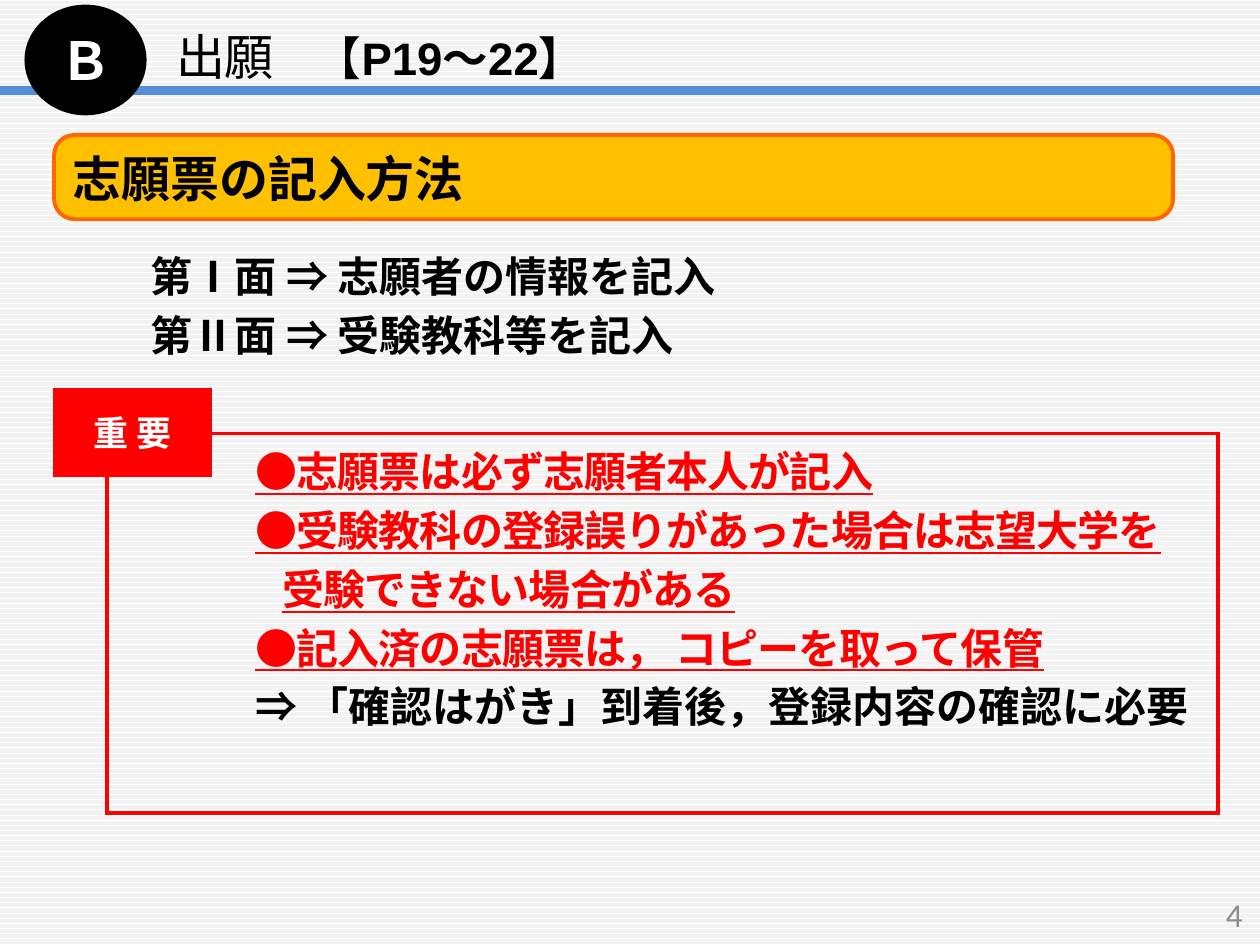
import pptx
import pptx.util
import pptx.dml.color
import pptx.enum.dml
import pptx.enum.shapes
import pptx.enum.text
import pptx.oxml
import pptx.oxml.ns
from pptx.util import Cm, Pt

COLORS = {"black": "000000", "white": "FFFFFF", "red": "FF0000", "amber": "FFC000",
          "orange": "FF6600", "blue": "558ED5", "stripe": "F2F2F2", "gray": "8C8C8C"}
CJK = "Noto Sans CJK JP"
DRAWING = 'xmlns:a="http://schemas.openxmlformats.org/drawingml/2006/main"'
SHAPES = pptx.enum.shapes.MSO_SHAPE
ALIGN = pptx.enum.text.PP_ALIGN
ANCHOR = pptx.enum.text.MSO_ANCHOR

SECTION = "Ｂ"
TITLE_RUNS = [("出願", {"size": 28, "font": CJK}),
              ("　", {"size": 24, "font": CJK, "bold": True}),
              ("【P19～22】", {"size": 26, "bold": True})]
HEADING = "志願票の記入方法"
SIDES = ["第Ⅰ面 ⇒ 志願者の情報を記入", "第Ⅱ面 ⇒ 受験教科等を記入"]
LABEL = "重 要"
WARNING = {"color": "red", "underline": True, "spacing": -0.5}
NOTES = [("●志願票は必ず志願者本人が記入", WARNING),
         ("●受験教科の登録誤りがあった場合は志望大学を", WARNING),
         ("受験できない場合がある", {**WARNING, "indent": 0.54}),
         ("●記入済の志願票は， コピーを取って保管", WARNING),
         ("⇒ 「確認はがき」到着後，登録内容の確認に必要", {})]
PAGE_NUMBER = "4"


def rgb(name):
    return pptx.dml.color.RGBColor.from_string(COLORS[name])


def add_run(paragraph, text, size=24, font="Arial", color="black", bold=False,
            underline=False, spacing=0):
    run = paragraph.add_run()
    run.text = text
    run.font.size = Pt(size)
    run.font.name = font
    run.font.bold = bold
    run.font.color.rgb = rgb(color)
    if underline:
        run.font.underline = True
    if spacing:
        run.font._element.set("spc", str(round(spacing * 100)))


def write(shape, text, align=ALIGN.LEFT, anchor=ANCHOR.TOP, wrap=True, indent=0,
          gap=0, **run_format):
    """Add a paragraph; text is a string or a list of (text, format) runs."""
    frame = shape.text_frame
    frame.word_wrap = wrap
    frame.vertical_anchor = anchor
    first = not frame.paragraphs[0].runs
    paragraph = frame.paragraphs[0] if first else frame.add_paragraph()
    paragraph.alignment = align
    if indent:
        paragraph._p.get_or_add_pPr().set("marL", str(Cm(indent)))
    if not first:
        paragraph.space_before = Pt(gap)
    runs = [(text, {})] if isinstance(text, str) else text
    for run_text, own_format in runs:
        add_run(paragraph, run_text, **{**run_format, **own_format})


def add_box(slide, kind, box, line, width, fill=None):
    """Add a preset shape with square line joins."""
    shape = slide.shapes.add_shape(kind, *map(Cm, box))
    shape.shadow.inherit = False
    if fill:
        shape.fill.solid()
        shape.fill.fore_color.rgb = rgb(fill)
    else:
        shape.fill.background()
    shape.line.color.rgb = rgb(line)
    shape.line.width = Pt(width)
    outline = shape._element.spPr.find(pptx.oxml.ns.qn("a:ln"))
    outline.append(pptx.oxml.parse_xml(f'<a:miter {DRAWING} lim="800000"/>'))
    return shape


def add_text_box(slide, box):
    return slide.shapes.add_textbox(*map(Cm, box))


def add_rule(slide, y, color, width):
    rule = slide.shapes.add_connector(pptx.enum.shapes.MSO_CONNECTOR.STRAIGHT,
                                      0, Cm(y), Cm(25.4), Cm(y))
    rule.line.color.rgb = rgb(color)
    rule.line.width = Pt(width)
    rule._element.spPr.append(pptx.oxml.parse_xml(f'<a:effectLst {DRAWING}/>'))


def main():
    presentation = pptx.Presentation()
    presentation.slide_width, presentation.slide_height = Cm(25.4), Cm(19.05)
    slide = presentation.slides.add_slide(presentation.slide_layouts[6])

    background = slide.background.fill
    background.patterned()
    background.pattern = pptx.enum.dml.MSO_PATTERN.DARK_HORIZONTAL
    background.fore_color.rgb = rgb("stripe")
    background.back_color.rgb = rgb("white")

    add_rule(slide, 1.83, "blue", 5)

    heading = add_box(slide, SHAPES.ROUNDED_RECTANGLE, (1.09, 2.72, 22.56, 1.7),
                      "orange", 2.25, "amber")
    heading.adjustments[0] = 0.245
    write(heading, HEADING, anchor=ANCHOR.BOTTOM, size=28, bold=True)

    badge = add_box(slide, SHAPES.OVAL, (0.53, 0.13, 2.39, 2.16), "black", 2, "black")
    write(badge, SECTION, align=ALIGN.CENTER, anchor=ANCHOR.MIDDLE, wrap=False,
          size=30, font=CJK, color="white", bold=True)

    title = add_text_box(slide, (3.3, 0.23, 12, 1.8))
    write(title, TITLE_RUNS, anchor=ANCHOR.MIDDLE)

    page = add_text_box(slide, (19.38, 17.93, 5.92, 1.02))
    write(page, PAGE_NUMBER, align=ALIGN.RIGHT, anchor=ANCHOR.MIDDLE,
          size=19, font="Calibri", color="gray")

    notes = add_text_box(slide, (4.9, 8.86, 19.69, 7.24))
    for text, text_format in NOTES:
        write(notes, text, gap=4.8, bold=True, **text_format)

    sides = add_text_box(slide, (1.09, 4.93, 24.79, 2.74))
    for text in SIDES:
        write(sides, text, indent=1.7, gap=4.8, bold=True)

    add_box(slide, SHAPES.RECTANGLE, (2.16, 8.74, 22.4, 7.65), "red", 2)
    label = add_box(slide, SHAPES.RECTANGLE, (1.17, 7.92, 3, 1.6), "red", 6, "red")
    write(label, LABEL, align=ALIGN.CENTER, anchor=ANCHOR.MIDDLE, wrap=False,
          size=20, color="white", bold=True)

    presentation.save("out.pptx")


if __name__ == "__main__":
    main()
